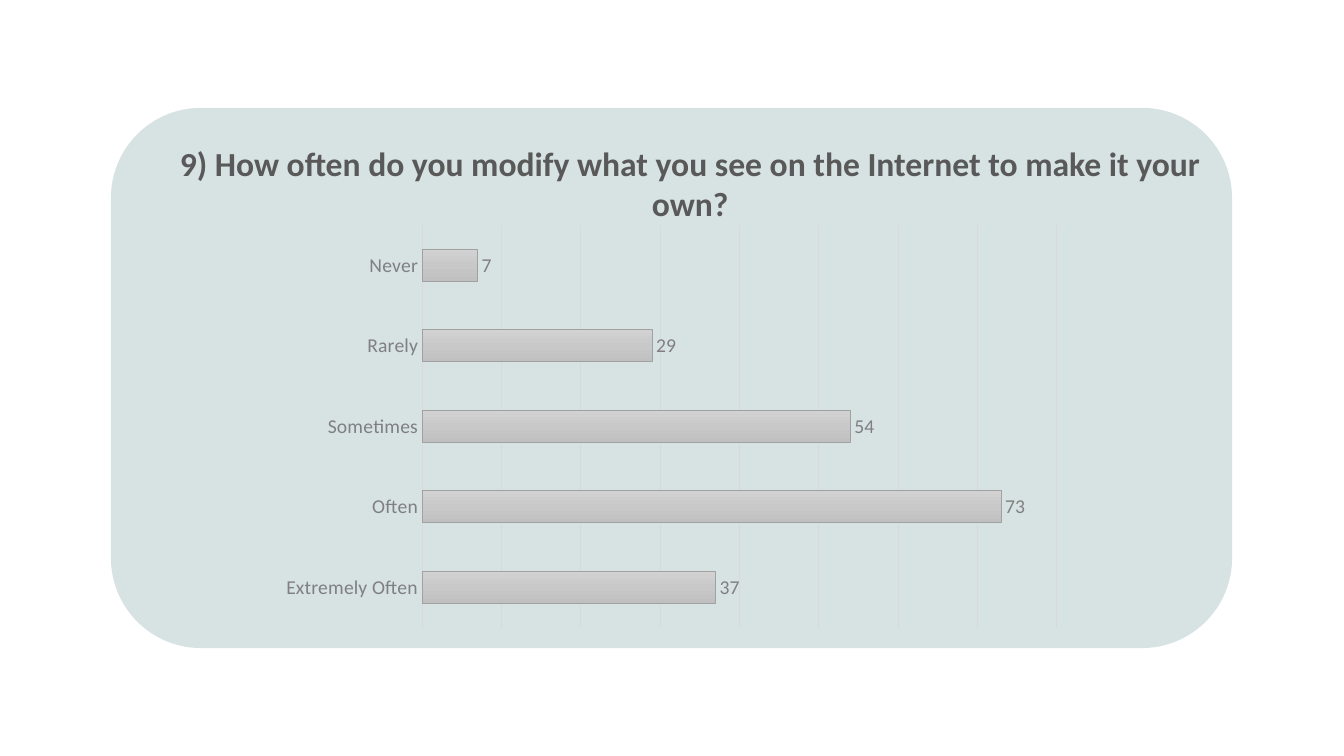
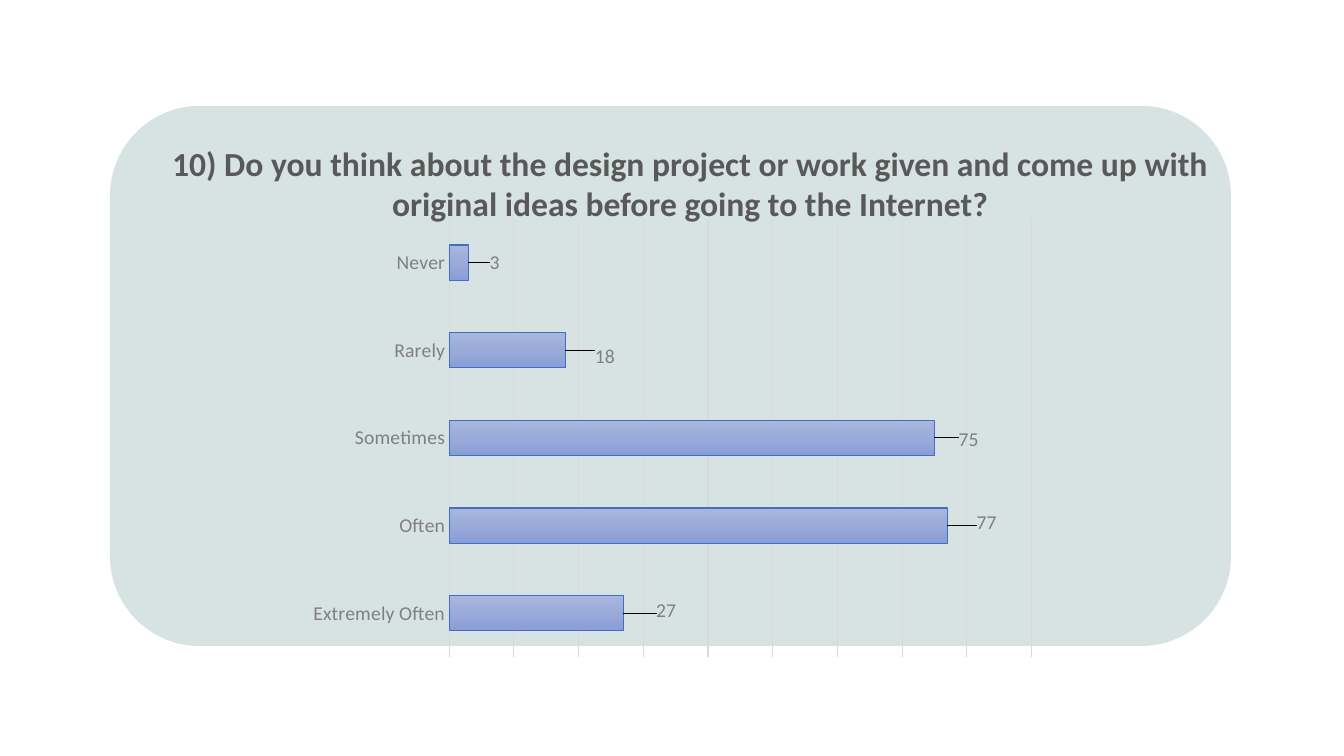
from copy import deepcopy
from dataclasses import dataclass

from lxml.etree import SubElement
from pptx import Presentation
from pptx.chart.chart import Chart
from pptx.chart.data import CategoryChartData
from pptx.chart.series import BarSeries
from pptx.dml.color import RGBColor
from pptx.enum.chart import XL_CHART_TYPE, XL_LABEL_POSITION, XL_TICK_LABEL_POSITION, XL_TICK_MARK
from pptx.enum.shapes import MSO_SHAPE
from pptx.enum.text import PP_ALIGN
from pptx.oxml import parse_xml
from pptx.oxml.ns import nsdecls, qn
from pptx.slide import Slide
from pptx.text.text import Font
from pptx.util import Inches, Pt

FONT = "Calibri"
COLORS = {
    "panel": "B1C7C7",
    "title": "595959",
    "label": "808080",
    "grid": "D9D9D9",
}
ANSWERS = ("Extremely Often", "Often", "Sometimes", "Rarely", "Never")


@dataclass(frozen=True)
class Box:
    left: float
    top: float
    width: float
    height: float

    def lengths(self) -> tuple[Inches, Inches, Inches, Inches]:
        return Inches(self.left), Inches(self.top), Inches(self.width), Inches(self.height)


@dataclass(frozen=True)
class BarStyle:
    gradient: tuple[str, str, str]
    line: str


@dataclass(frozen=True)
class Question:
    title: str
    panel: Box
    chart: Box
    counts: tuple[int, ...]
    axis_maximum: int
    style: BarStyle
    label_shifts: tuple[tuple[float, float], ...] = ()


TITLE_BOX = Box(1.46, 1.37, 10.77, 0.91)
QUESTIONS = (
    Question(
        title="9) How often do you modify what you see on the Internet to make it your own?",
        panel=Box(1.1, 1.07, 11.12, 5.36),
        chart=Box(2.68, 2.15, 7.96, 4.16),
        counts=(37, 73, 54, 29, 7),
        axis_maximum=80,
        style=BarStyle(("D2D2D2", "C8C8C8", "C0C0C0"), "A1A1A1"),
    ),
    Question(
        title="10) Do you think about the design project or work given and come up with "
        "original ideas before going to the Internet?",
        panel=Box(1.09, 1.05, 11.12, 5.36),
        chart=Box(2.96, 2.08, 7.42, 4.53),
        counts=(27, 77, 75, 18, 3),
        axis_maximum=90,
        style=BarStyle(("A8B7DF", "9AABD9", "889ED7"), "436FC0"),
        label_shifts=((0.28, -0.03), (0.25, -0.03), (0.2, 0.02), (0.25, 0.06), (0.17, 0)),
    ),
)


def rgb(value: str) -> RGBColor:
    return RGBColor.from_string(value)


def style_font(font: Font, size: int, color: str, bold: bool = False) -> None:
    font.name = FONT
    font.size = Pt(size)
    font.bold = bold
    font.color.rgb = rgb(color)


def add_panel(slide: Slide, box: Box) -> None:
    shape = slide.shapes.add_shape(MSO_SHAPE.ROUNDED_RECTANGLE, *box.lengths())
    shape.shadow.inherit = False
    shape.fill.solid()
    shape.fill.fore_color.rgb = rgb(COLORS["panel"])
    shape.line.fill.background()
    color = shape._element.spPr.find(qn("a:solidFill")).find(qn("a:srgbClr"))
    SubElement(color, qn("a:alpha"), val="50000")


def add_title(slide: Slide, title: str) -> None:
    text_frame = slide.shapes.add_textbox(*TITLE_BOX.lengths()).text_frame
    text_frame.word_wrap = True
    paragraph = text_frame.paragraphs[0]
    paragraph.alignment = PP_ALIGN.CENTER
    run = paragraph.add_run()
    run.text = title
    style_font(run.font, 24, COLORS["title"], bold=True)


def style_axes(chart: Chart, maximum: int) -> None:
    category_axis = chart.category_axis
    category_axis.major_tick_mark = XL_TICK_MARK.NONE
    category_axis.minor_tick_mark = XL_TICK_MARK.NONE
    category_axis.tick_label_position = XL_TICK_LABEL_POSITION.NEXT_TO_AXIS
    category_axis.format.line.fill.background()
    style_font(category_axis.tick_labels.font, 14, COLORS["label"])
    value_axis = chart.value_axis
    value_axis.visible = False
    value_axis.minimum_scale = 0
    value_axis.maximum_scale = maximum
    value_axis.major_unit = 10
    value_axis.has_major_gridlines = True
    grid_line = value_axis.major_gridlines.format.line
    grid_line.color.rgb = rgb(COLORS["grid"])
    grid_line.width = Pt(0.75)


def style_bars(series: BarSeries, style: BarStyle) -> None:
    fill = series.format.fill
    fill.gradient()
    fill.gradient_angle = 270
    stop_list = series._element.xpath(".//a:gsLst")[0]
    stop_list.insert(1, deepcopy(stop_list[0]))
    for stop, color, position in zip(fill.gradient_stops, style.gradient, (0, 0.5, 1)):
        stop.color.rgb = rgb(color)
        stop.position = position
    series.format.line.color.rgb = rgb(style.line)
    series.format.line.width = Pt(0.75)


def shift_label(series: BarSeries, index: int, right: float, down: float) -> None:
    label = series.points[index].data_label
    style_font(label.font, 14, COLORS["label"])
    label.position = XL_LABEL_POSITION.OUTSIDE_END
    layout = parse_xml(
        f'<c:layout {nsdecls("c")}><c:manualLayout>'
        f'<c:x val="{right}"/><c:y val="{down}"/>'
        "</c:manualLayout></c:layout>"
    )
    element = series._element.xpath(f"c:dLbls/c:dLbl[c:idx/@val='{index}']")[0]
    element.insert(1, layout)


def add_bar_chart(slide: Slide, question: Question) -> None:
    data = CategoryChartData()
    data.categories = ANSWERS
    data.add_series("Series 1", question.counts)
    box = question.chart
    chart = slide.shapes.add_chart(XL_CHART_TYPE.BAR_CLUSTERED, *box.lengths(), data).chart
    chart.has_title = False
    chart.has_legend = False
    chart.font.name = FONT
    chart.font.size = Pt(10)
    style_axes(chart, question.axis_maximum)
    plot = chart.plots[0]
    plot.gap_width = 150
    plot.vary_by_categories = False
    series = plot.series[0]
    style_bars(series, question.style)
    labels = series.data_labels
    labels.show_value = True
    labels.position = XL_LABEL_POSITION.OUTSIDE_END
    style_font(labels.font, 14, COLORS["label"])
    for index, (right, down) in enumerate(question.label_shifts):
        shift_label(series, index, right / box.width, down / box.height)


def main() -> None:
    presentation = Presentation()
    presentation.slide_width = Inches(13.33)
    presentation.slide_height = Inches(7.5)
    for question in QUESTIONS:
        slide = presentation.slides.add_slide(presentation.slide_layouts[6])
        add_panel(slide, question.panel)
        add_title(slide, question.title)
        add_bar_chart(slide, question)
    presentation.save("out.pptx")


if __name__ == "__main__":
    main()
